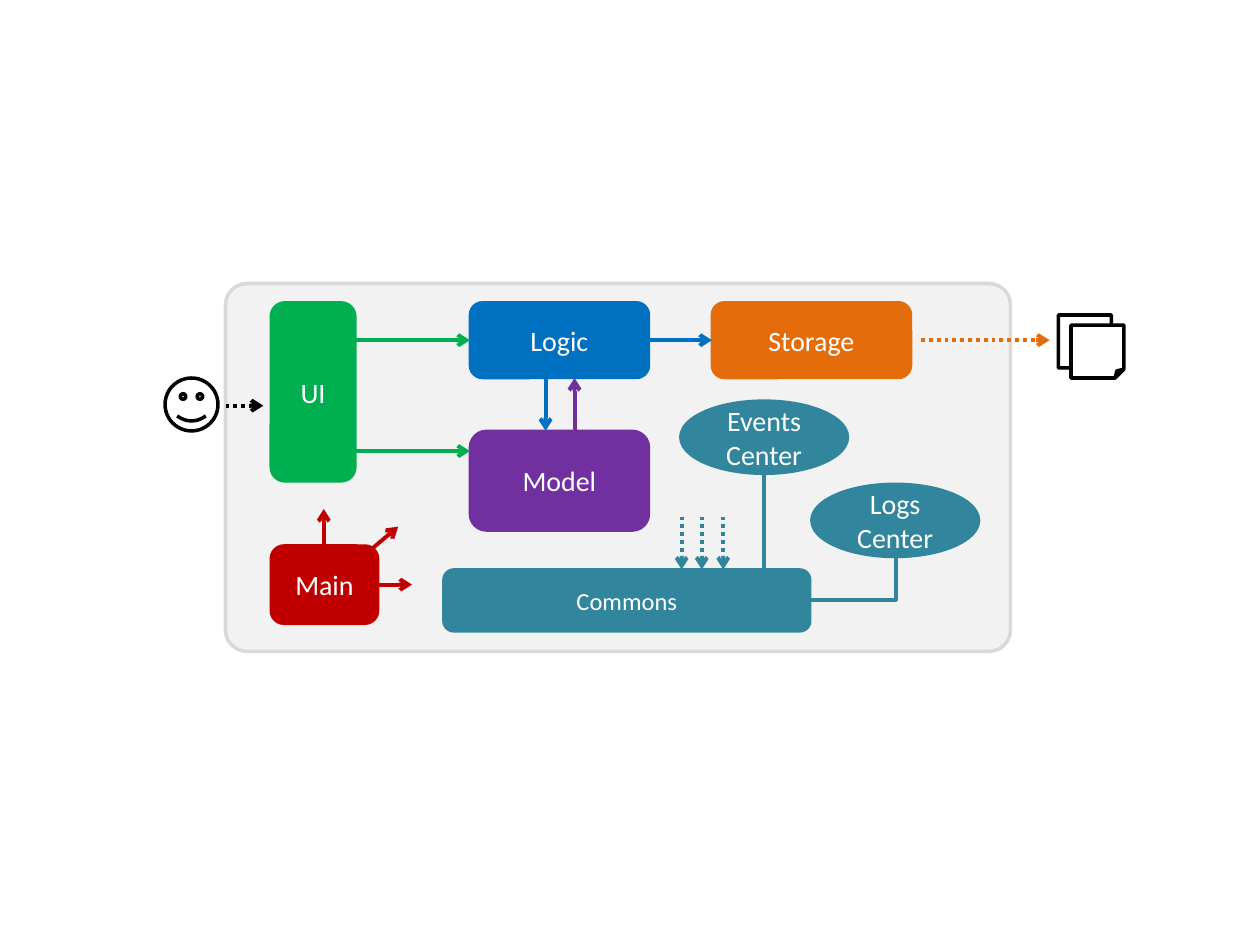
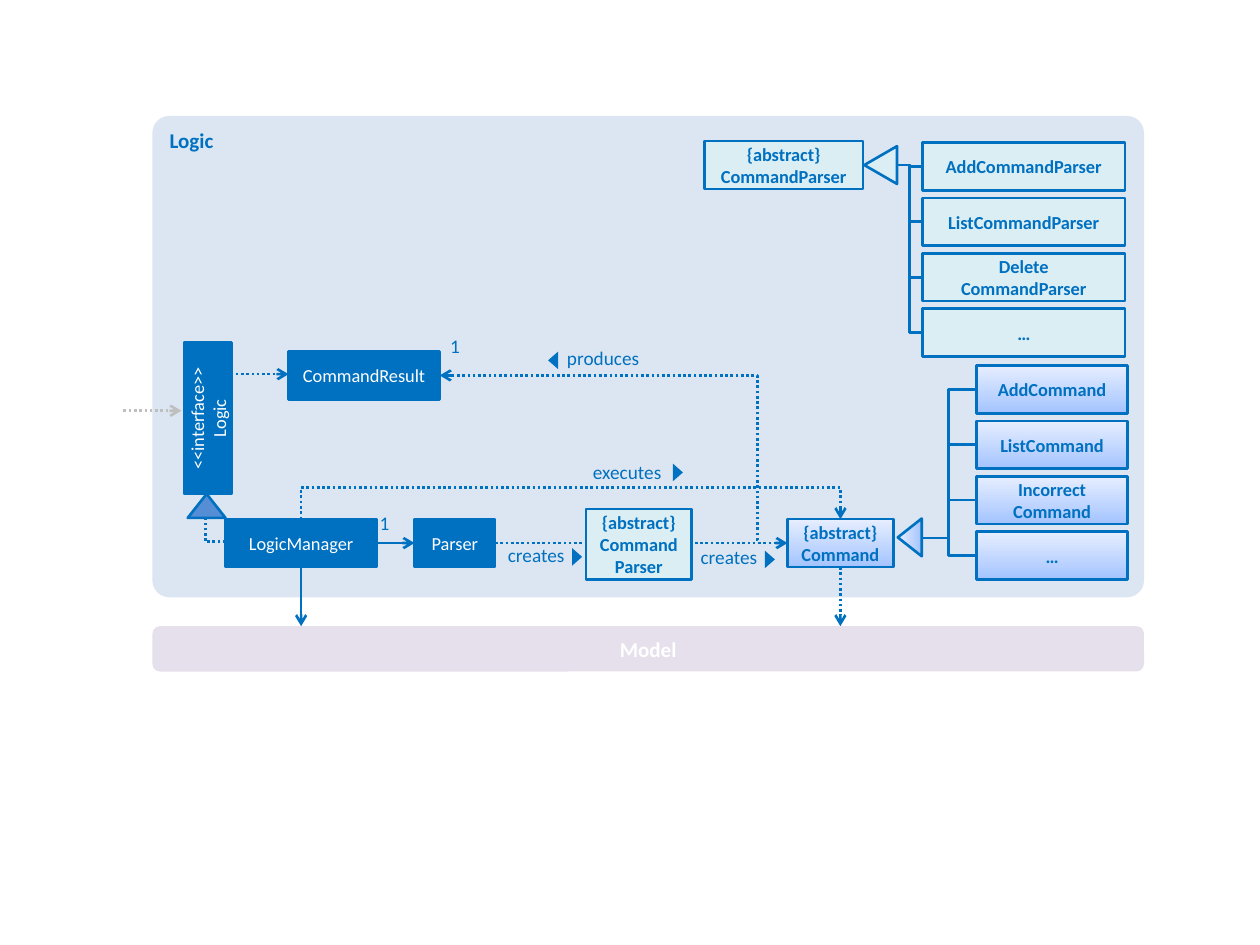
from lxml import etree
from pptx import Presentation
from pptx.dml.color import RGBColor
from pptx.enum.dml import MSO_LINE
from pptx.enum.shapes import MSO_CONNECTOR, MSO_SHAPE
from pptx.enum.text import MSO_ANCHOR, PP_ALIGN
from pptx.oxml.ns import qn
from pptx.util import Inches, Pt

ROUNDED, RECTANGLE = MSO_SHAPE.ROUNDED_RECTANGLE, MSO_SHAPE.RECTANGLE
OVAL, TRIANGLE = MSO_SHAPE.OVAL, MSO_SHAPE.ISOSCELES_TRIANGLE
SMILEY, PAGE = MSO_SHAPE.SMILEY_FACE, MSO_SHAPE.FOLDED_CORNER
STRAIGHT, ELBOW = MSO_CONNECTOR.STRAIGHT, MSO_CONNECTOR.ELBOW
LEFT, CENTER, RIGHT = PP_ALIGN.LEFT, PP_ALIGN.CENTER, PP_ALIGN.RIGHT
TOP, MIDDLE = MSO_ANCHOR.TOP, MSO_ANCHOR.MIDDLE
DOTTED = MSO_LINE.ROUND_DOT

FONT = "Calibri"
WHITE = RGBColor(0xFF, 0xFF, 0xFF)
BLACK = RGBColor(0, 0, 0)
PALE_GRAY = RGBColor(0xF2, 0xF2, 0xF2)
LIGHT_GRAY = RGBColor(0xD9, 0xD9, 0xD9)
GRAY = RGBColor(0xBF, 0xBF, 0xBF)
GREEN = RGBColor(0x00, 0xB0, 0x50)
BLUE = RGBColor(0x00, 0x70, 0xC0)
ORANGE = RGBColor(0xE4, 0x6C, 0x0A)
PURPLE = RGBColor(0x70, 0x30, 0xA0)
TEAL = RGBColor(0x31, 0x85, 0x9C)
RED = RGBColor(0xC0, 0x00, 0x00)
PALE_BLUE = RGBColor(0xDC, 0xE6, 0xF2)
PALE_TEAL = RGBColor(0xDB, 0xEE, 0xF4)
PALE_PURPLE = RGBColor(0xE6, 0xE0, 0xEC)
MID_BLUE = RGBColor(0x55, 0x8E, 0xD5)
SKY = (RGBColor(0xA4, 0xC4, 0xFF), RGBColor(0xE6, 0xEE, 0xFF))  # bottom, top

# Architecture: kind, text, frame (left, top, width, height), colour, size
COMPONENTS = [
    (ROUNDED, "UI", (2.15, 2.4, 0.67, 1.42), GREEN, 16),
    (ROUNDED, "Logic", (3.73, 2.4, 1.42, 0.6), BLUE, 16),
    (ROUNDED, "Storage", (5.65, 2.4, 1.58, 0.6), ORANGE, 16),
    (ROUNDED, "Model", (3.73, 3.42, 1.42, 0.79), PURPLE, 16),
    (ROUNDED, "Commons", (3.52, 4.52, 2.91, 0.49), TEAL, 14),
    (ROUNDED, "Main", (2.15, 4.33, 0.85, 0.62), RED, 16),
    (OVAL, "Events Center", (5.4, 3.18, 1.33, 0.58), TEAL, 16),
    (OVAL, "Logs\vCenter", (6.44, 3.84, 1.33, 0.58), TEAL, 16),
]
OUTSIDERS = [(SMILEY, 1.31, 3), (PAGE, 8.4, 2.5), (PAGE, 8.5, 2.58)]
OUTSIDER_SIZE = 0.42

# Points, colour, dotted, arrow
COMPONENT_LINKS = [
    ([(2.81, 2.7), (3.73, 2.7)], GREEN, False, True),
    ([(2.81, 3.58), (3.73, 3.58)], GREEN, False, True),
    ([(4.33, 3), (4.33, 3.42)], BLUE, False, True),
    ([(5.15, 2.7), (5.65, 2.7)], BLUE, False, True),
    ([(4.56, 3.42), (4.56, 3)], PURPLE, False, True),
    ([(1.79, 3.22), (2.09, 3.22)], BLACK, True, True),
    ([(7.31, 2.7), (8.33, 2.7)], ORANGE, True, True),
    ([(3, 4.64), (3.27, 4.64)], RED, False, True),
    ([(2.84, 4.45), (3.16, 4.18)], RED, False, True),
    ([(2.57, 4.37), (2.57, 4.04)], RED, False, True),
    ([(7.11, 4.43), (7.11, 4.76), (6.43, 4.76)], TEAL, False, False),
    ([(6.06, 3.77), (6.06, 4.53)], TEAL, False, False),
] + [([(x, 4.1), (x, 4.52)], TEAL, True, True) for x in (5.41, 5.57, 5.74)]

# Logic classes: text, left, top, width, height, fill, rotation
ROW_HEIGHT, ROW_STEP = 0.38, 0.44
CLASSES = [
    ("CommandResult", 2.29, 2.79, 1.2, ROW_HEIGHT, BLUE, 0),
    ("<<interface>>\nLogic", 1.05, 3.13, 1.2, ROW_HEIGHT, BLUE, 270),
    ("LogicManager", 1.79, 4.12, 1.2, ROW_HEIGHT, BLUE, 0),
    ("Parser", 3.29, 4.12, 0.64, ROW_HEIGHT, BLUE, 0),
    ("{abstract}\vCommand\vParser", 4.65, 4.04, 0.84, 0.56, PALE_TEAL, 0),
    ("{abstract}\vCommand", 6.25, 4.12, 0.84, ROW_HEIGHT, SKY, 0),
    ("{abstract}\vCommandParser", 5.59, 1.12, 1.26, ROW_HEIGHT, PALE_TEAL, 0),
]
# Subclasses, left, top, width, fill, point where the branches start
FAMILIES = [
    (["AddCommandParser", "ListCommandParser", "Delete\vCommandParser", "…"],
     7.32, 1.13, 1.61, PALE_TEAL, (7.12, 1.31)),
    (["AddCommand", "ListCommand", "Incorrect\vCommand", "…"],
     7.75, 2.9, 1.2, SKY, (7.31, 4.27)),
]
INHERITANCE_HEADS = [  # frame, fill, rotation
    ((1.49, 3.92, 0.3, 0.19), MID_BLUE, 0),
    ((7.07, 4.17, 0.3, 0.19), SKY, 270),
    ((6.84, 1.18, 0.3, 0.26), PALE_TEAL, 270),
]
CLASS_LINKS = [
    ([(6, 4.28), (6.01, 4.28), (6.01, 2.98), (3.49, 2.98)], BLUE, True, True),
    ([(1.83, 2.97), (2.29, 2.97)], BLUE, True, True),
    ([(0.98, 3.26), (1.44, 3.26)], GRAY, True, True),
    ([(2.98, 4.31), (3.29, 4.31)], BLUE, False, True),
    ([(3.93, 4.31), (6.25, 4.31)], BLUE, True, True),
    ([(6.67, 4.5), (6.67, 4.97)], BLUE, True, True),
    ([(2.39, 4.49), (2.39, 4.97)], BLUE, False, True),
    ([(1.79, 4.3), (1.63, 4.3), (1.63, 4.11)], BLUE, True, False),
    ([(2.39, 4.12), (2.39, 3.87), (6.67, 3.87), (6.67, 4.12)], BLUE, True, True),
]
LABELS = [  # text, left, top, width, alignment
    ("executes", 4.45, 3.65, 0.8, RIGHT),
    ("produces", 4.5, 2.75, 0.8, LEFT),
    ("1", 3.51, 2.65, 0.14, RIGHT),
    ("1", 2.95, 4.06, 0.14, RIGHT),
    ("creates", 5.4, 4.33, 0.61, RIGHT),
    ("creates", 3.87, 4.31, 0.61, RIGHT),
]
READING_MARKS = [(5.31, 3.71, 90), (4.32, 2.82, 270), (6.04, 4.4, 90), (4.51, 4.38, 90)]


def set_all(target, values):
    for name, value in values.items():
        setattr(target, name, value)


def inches(values):
    return [Inches(value) for value in values]


def write(shape, text, color, size, bold=False, align=CENTER, anchor=MIDDLE):
    frame = shape.text_frame
    set_all(frame, {"text": text, "word_wrap": True, "vertical_anchor": anchor})
    for paragraph in frame.paragraphs:
        paragraph.alignment = align
        for run in paragraph.runs:
            set_all(run.font, {"name": FONT, "size": Pt(size), "bold": bold})
            run.font.color.rgb = color


def add_figure(slide, kind, frame, fill, line=None, weight=1.5, rotation=0):
    """Add a preset shape; a pair of fill colours makes a gradient."""
    shape = slide.shapes.add_shape(kind, *inches(frame))
    shape.shadow.inherit = False
    shape.rotation = rotation
    if fill in (SKY,):
        shape.fill.gradient()
        shape.fill.gradient_angle = 90
        for stop, color in zip(shape.fill.gradient_stops, fill):
            stop.color.rgb = color
    else:
        shape.fill.solid()
        shape.fill.fore_color.rgb = fill
    if line is None:
        shape.line.fill.background()
    else:
        shape.line.color.rgb = line
        shape.line.width = Pt(weight)
    return shape


def style_line(shape, color, weight, dotted=False, arrow=False):
    shape.line.color.rgb = color
    shape.line.width = Pt(weight)
    if dotted:
        shape.line.dash_style = DOTTED
    properties = shape.element.spPr
    if arrow:
        etree.SubElement(properties.find(qn("a:ln")), qn("a:tailEnd"), type="arrow")
    if properties.find(qn("a:effectLst")) is None:
        etree.SubElement(properties, qn("a:effectLst"))


def add_link(slide, points, color, dotted, arrow, weight):
    """Join two points by a connector, or more points by an open outline."""
    start, *others = [inches(point) for point in points]
    if len(others) == 1:
        link = slide.shapes.add_connector(STRAIGHT, *start, *others[0])
    else:
        builder = slide.shapes.build_freeform(*start)
        builder.add_line_segments(others, close=False)
        link = builder.convert_to_shape()
        link.fill.background()
    style_line(link, color, weight, dotted, arrow)


def add_class(slide, text, frame, fill, rotation=0):
    box = add_figure(slide, RECTANGLE, frame, fill, BLUE, rotation=rotation)
    dark = fill == BLUE
    write(box, text, WHITE if dark else BLUE, 10.5, bold=not dark)


def add_family(slide, names, left, top, width, fill, root):
    for row, name in enumerate(names):
        row_top = top + row * ROW_STEP
        target = (left, row_top + ROW_HEIGHT / 2)
        branch = slide.shapes.add_connector(ELBOW, *inches(root + target))
        style_line(branch, BLUE, 1.5)
        add_class(slide, name, (left, row_top, width, ROW_HEIGHT), fill)


def build_architecture(slide):
    panel = add_figure(slide, ROUNDED, (1.79, 2.25, 6.23, 2.92), PALE_GRAY, LIGHT_GRAY, 2)
    panel.adjustments[0] = 0.058
    for kind, text, frame, color, size in COMPONENTS:
        write(add_figure(slide, kind, frame, color, color), text, WHITE, size)
    for kind, left, top in OUTSIDERS:
        add_figure(slide, kind, (left, top, OUTSIDER_SIZE, OUTSIDER_SIZE), WHITE, BLACK, 2)
    for link in COMPONENT_LINKS:
        add_link(slide, *link, weight=2.25)


def build_logic(slide):
    panel = add_figure(slide, ROUNDED, (1.21, 0.92, 7.87, 3.82), PALE_BLUE)
    panel.adjustments[0] = 0.035
    write(panel, "Logic", BLUE, 12, True, LEFT, TOP)
    model = add_figure(slide, ROUNDED, (1.21, 4.97, 7.87, 0.36), PALE_PURPLE)
    write(model, "Model", WHITE, 12, True)
    for link in CLASS_LINKS:
        add_link(slide, *link, weight=1.5)
    for text, left, top, width, height, fill, rotation in CLASSES:
        add_class(slide, text, (left, top, width, height), fill, rotation)
    for family in FAMILIES:
        add_family(slide, *family)
    for frame, fill, rotation in INHERITANCE_HEADS:
        add_figure(slide, TRIANGLE, frame, fill, BLUE, rotation=rotation)
    for text, left, top, width, align in LABELS:
        label = slide.shapes.add_textbox(*inches((left, top, width, 0.25)))
        margins = ("margin_left", "margin_top", "margin_right", "margin_bottom")
        set_all(label.text_frame, dict.fromkeys(margins, 0))
        write(label, text, BLUE, 11, align=align, anchor=TOP)
    for left, top, rotation in READING_MARKS:
        add_figure(slide, TRIANGLE, (left, top, 0.14, 0.08), BLUE, rotation=rotation)


def main():
    presentation = Presentation()
    set_all(presentation, {"slide_width": Inches(10), "slide_height": Inches(7.5)})
    blank = presentation.slide_layouts[6]
    for build in (build_architecture, build_logic):
        build(presentation.slides.add_slide(blank))
    presentation.save("out.pptx")


if __name__ == "__main__":
    main()
